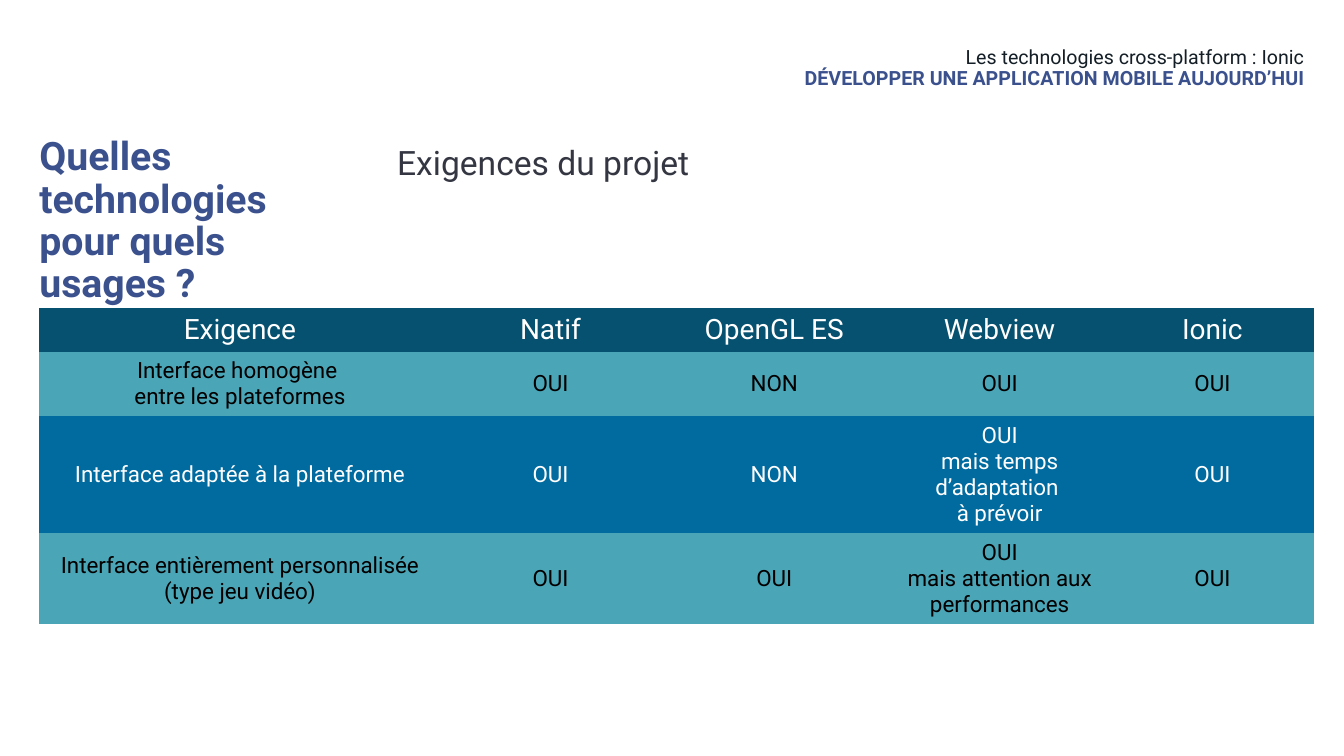
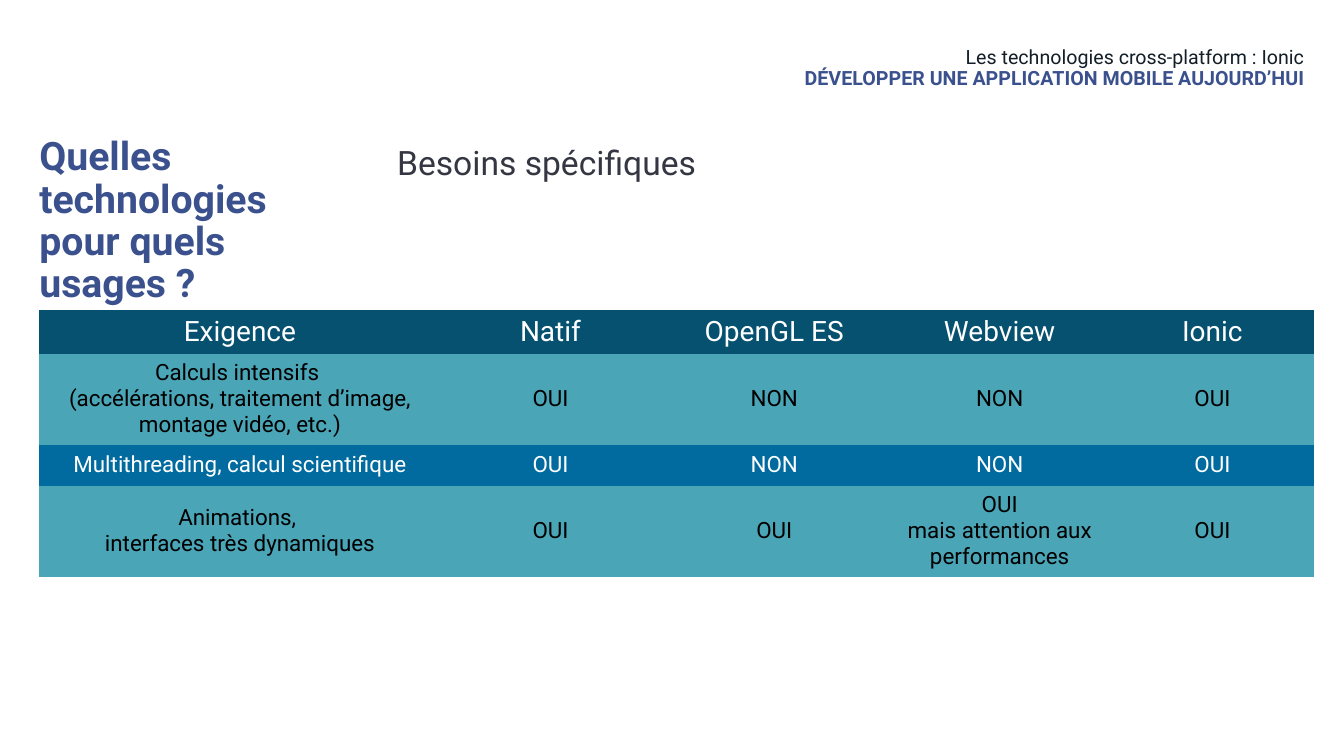
from pptx import Presentation
from pptx.dml.color import RGBColor
from pptx.enum.text import MSO_ANCHOR as Anchor, MSO_AUTO_SIZE as Fit, PP_ALIGN as Align
from pptx.util import Inches, Pt

# Content: each row has its text line count, then its cells ("\v" breaks a line)
TITLE = "Quelles technologies pour quels usages\u00a0?"
TOPIC = "Les technologies cross-platform : Ionic"
COURSE = "DÉVELOPPER UNE APPLICATION MOBILE AUJOURD’HUI"
HEAD = ["Exigence", "Natif", "OpenGL ES", "Webview", "Ionic"]
PERF = "OUI\nmais attention aux performances"
SLIDES = [
    ("Exigences du projet", 3.06, [
        (2, ["Interface homogène \ventre les plateformes", "OUI", "NON", "OUI", "OUI"]),
        (4, ["Interface adaptée à la plateforme", "OUI", "NON",
             "OUI\nmais temps d’adaptation \và prévoir", "OUI"]),
        (3, ["Interface entièrement personnalisée (type jeu vidéo)",
             "OUI", "OUI", PERF, "OUI"]),
    ]),
    ("Besoins spécifiques", 3.08, [
        (3, ["Calculs intensifs \v(accélérations, traitement d’image, montage vidéo, etc.)",
             "OUI", "NON", "NON", "OUI"]),
        (1, ["Multithreading, calcul scientifique", "OUI", "NON", "NON", "OUI"]),
        (3, ["Animations, \vinterfaces très dynamiques", "OUI", "OUI", PERF, "OUI"]),
    ]),
]

# Shared style
FONT = "Roboto"
INDIGO, INK, GREY = "3B518E", "141E26", "343642"
WHITE, BLACK = "FFFFFF", "000000"
TOP = ("06516F", WHITE, 20)
BANDS = [("4AA5B7", BLACK, 16), ("016B9F", WHITE, 16)]
LEFT = 0.39
COLS = [3.98, 2.18, 2.26, 2.21, 2.01]
HEAD_H, MIN_H, LINE_H, PAD_H = 0.43, 0.41, 0.26, 0.12
PLAIN = "{2D5ABB26-0587-4C30-8999-92F81FD0307C}"  # table style with no grid


def color(code):
    return RGBColor.from_string(code)


def style(para, size, tint, bold=False, align=Align.LEFT, space=1.0):
    para.alignment = align
    para.line_spacing = space
    para.space_before = Pt(0)
    font = para.font
    font.name, font.size, font.bold = FONT, Pt(size), bold
    font.color.rgb = color(tint)


def setup(shape, text, box, inset=True):
    shape.left, shape.top, shape.width, shape.height = map(Inches, box)
    frame = shape.text_frame
    frame.text = text
    frame.word_wrap = True
    frame.auto_size = Fit.NONE
    frame.vertical_anchor = Anchor.TOP
    if not inset:
        frame.margin_left = frame.margin_right = 0
        frame.margin_top = frame.margin_bottom = 0
    return frame.paragraphs


def add_text(slide, text, box, inset=True):
    return setup(slide.shapes.add_textbox(0, 0, 0, 0), text, box, inset)


def add_grid(slide, top, rows):
    lines = [(HEAD_H, HEAD, TOP)]
    for i, (count, cells) in enumerate(rows):
        high = max(MIN_H, count * LINE_H + PAD_H)
        lines.append((high, cells, BANDS[i % 2]))
    total = sum(high for high, _, _ in lines)
    table = slide.shapes.add_table(
        len(lines), len(COLS), Inches(LEFT), Inches(top),
        Inches(sum(COLS)), Inches(total)).table
    table._tbl.tblPr[0].text = PLAIN
    table.horz_banding = False
    for col, wide in zip(table.columns, COLS):
        col.width = Inches(wide)
    for row, (high, texts, (fill, tint, size)) in zip(table.rows, lines):
        row.height = Inches(high)
        for cell, text in zip(row.cells, texts):
            cell.text = text
            cell.vertical_anchor = Anchor.MIDDLE
            cell.fill.solid()
            cell.fill.fore_color.rgb = color(fill)
            for para in cell.text_frame.paragraphs:
                style(para, size, tint, align=Align.CENTER)


def add_slide(deck, heading, top, rows):
    slide = deck.slides.add_slide(deck.slide_layouts[5])
    # Title
    title = setup(slide.shapes.title, TITLE, (LEFT, 1.36, 3.12, 4.84), False)
    style(title[0], 28, INDIGO, True, space=0.9)
    # Running header
    topic, course = add_text(slide, TOPIC + "\n" + COURSE, (4.18, 0.47, 8.76, 0.59), False)
    style(topic, 14, INK, align=Align.RIGHT, space=0.9)
    style(course, 14, INDIGO, True, Align.RIGHT, 0.9)
    # Heading and table
    style(add_text(slide, heading, (3.84, 1.36, 9.11, 0.5))[0], 24, GREY)
    add_grid(slide, top, rows)


def main():
    deck = Presentation()
    deck.slide_width, deck.slide_height = Inches(13.33), Inches(7.5)
    for heading, top, rows in SLIDES:
        add_slide(deck, heading, top, rows)
    deck.save("out.pptx")


if __name__ == "__main__":
    main()
